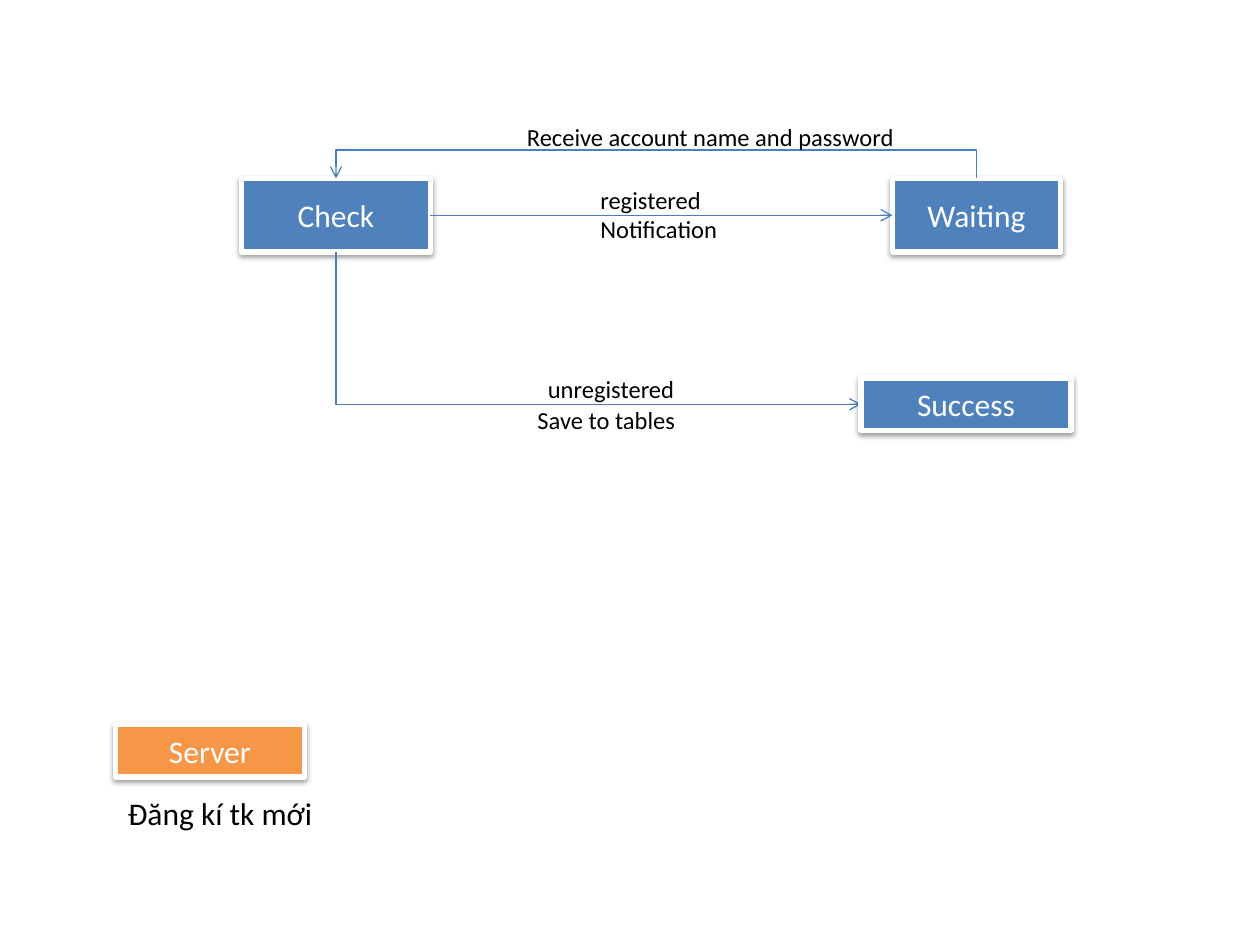
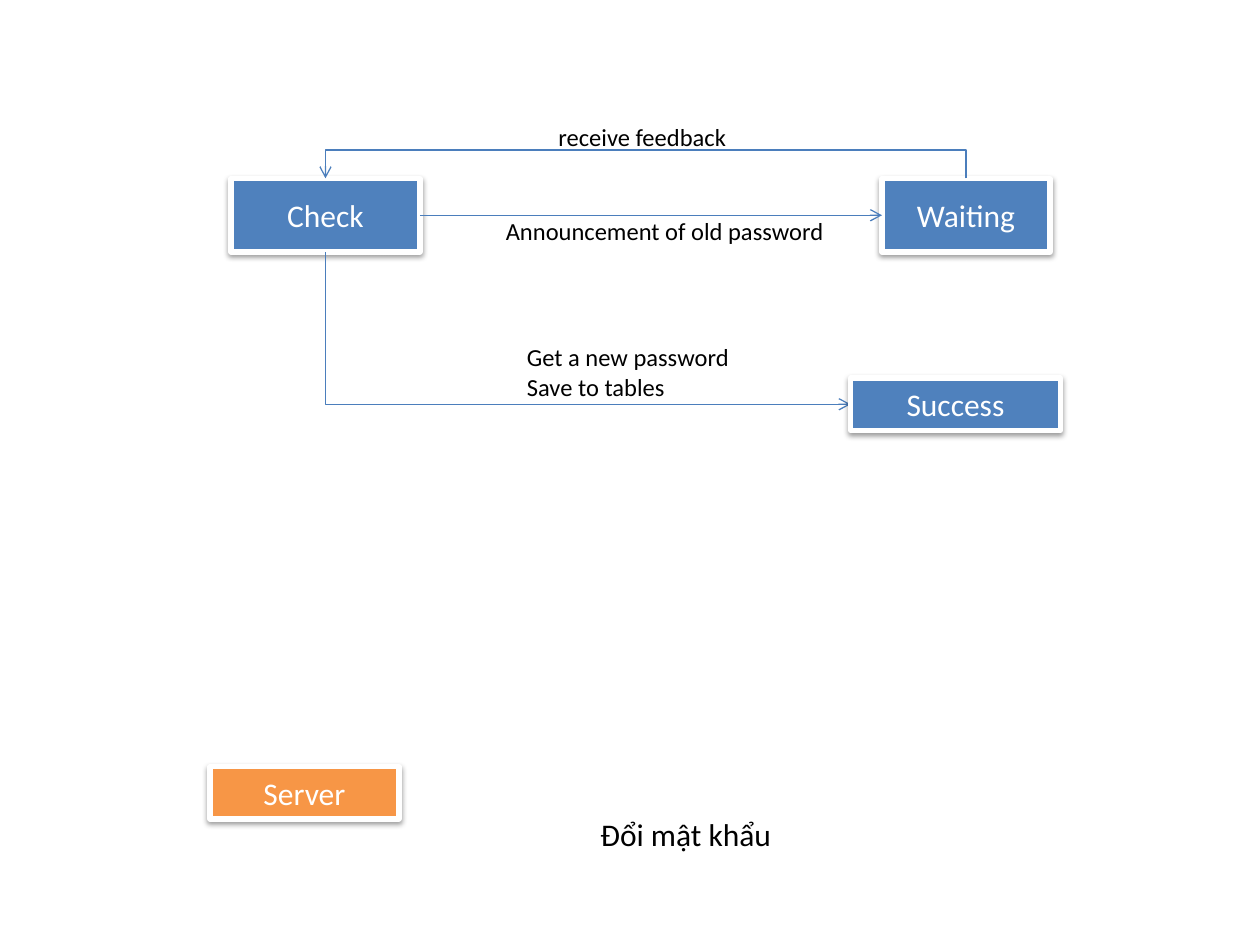
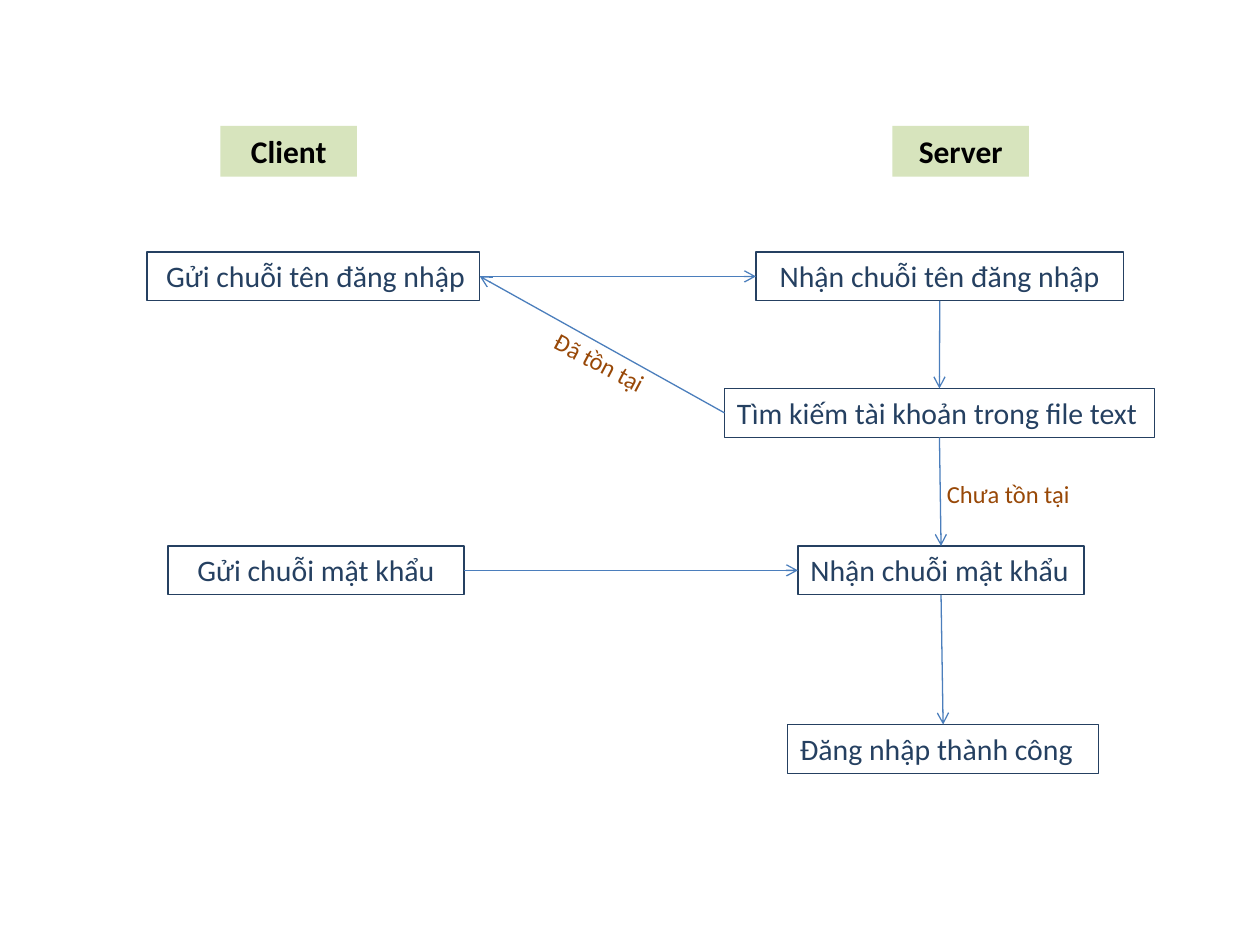
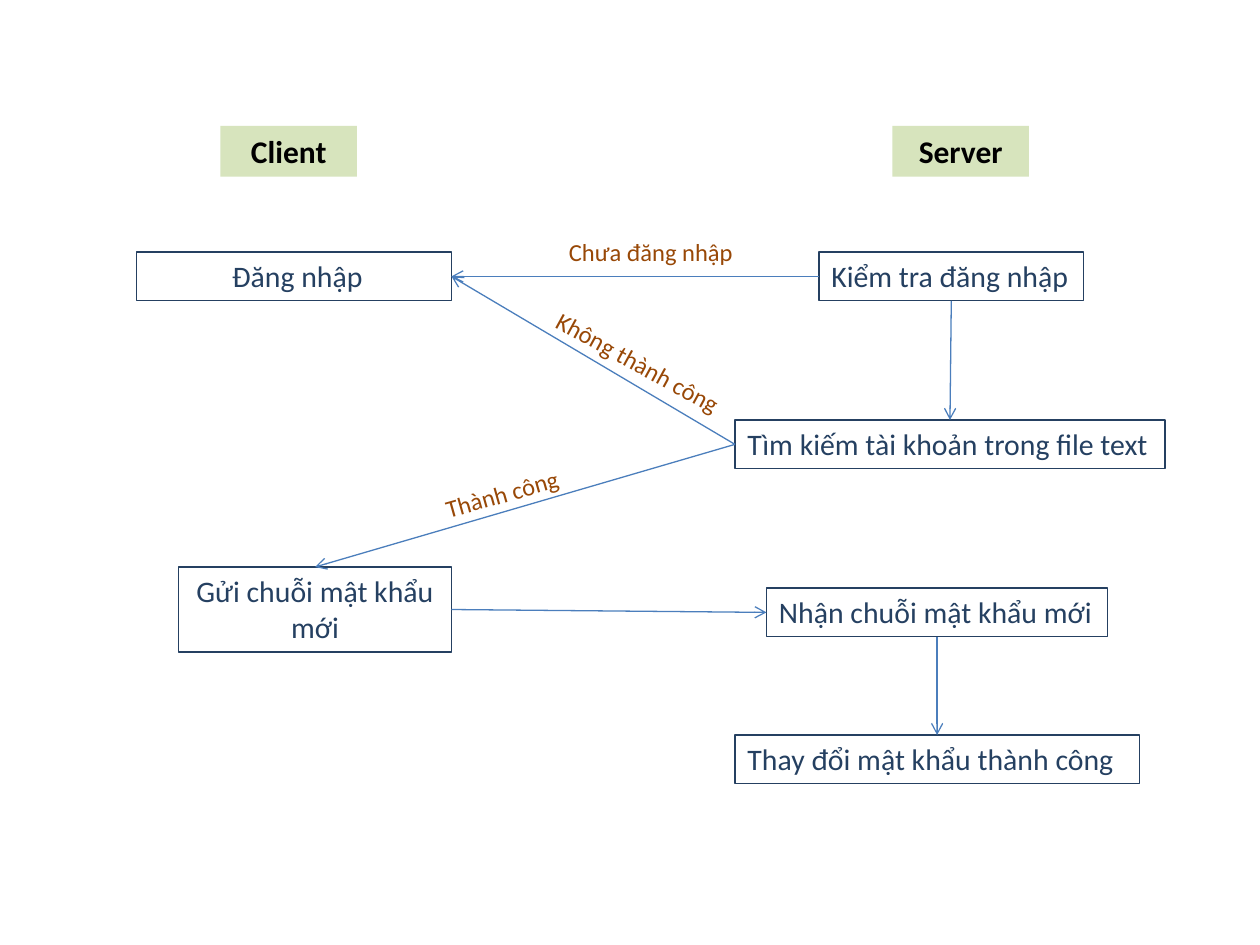
"""Build four flow diagrams of account registration, password change and login."""
from dataclasses import dataclass
from typing import Optional

from lxml.etree import SubElement
from pptx import Presentation
from pptx.dml.color import RGBColor
from pptx.enum.shapes import MSO_CONNECTOR, MSO_SHAPE
from pptx.enum.text import MSO_ANCHOR, MSO_AUTO_SIZE, PP_ALIGN
from pptx.oxml.ns import qn
from pptx.shapes.autoshape import Shape
from pptx.shapes.connector import Connector
from pptx.slide import Slide
from pptx.util import Emu, Inches, Pt

WHITE = RGBColor(0xFF, 0xFF, 0xFF)
BLACK = RGBColor(0x00, 0x00, 0x00)
BLUE = RGBColor(0x4F, 0x81, 0xBD)
ORANGE = RGBColor(0xF7, 0x96, 0x46)
ARROW_BLUE = RGBColor(0x4B, 0x7E, 0xBC)
NAVY = RGBColor(0x25, 0x40, 0x61)
BROWN = RGBColor(0x98, 0x48, 0x07)
PALE_GREEN = RGBColor(0xD7, 0xE4, 0xBD)

FONT = "Calibri"
SLIDE_WIDTH, SLIDE_HEIGHT = Inches(10), Inches(7.5)
COLUMNS = 120
CELL = SLIDE_WIDTH // COLUMNS
TOP, LEFT, BOTTOM, RIGHT = range(4)
LOOP_RISE = 3 * CELL
THINNEST = Emu(1588)


@dataclass(frozen=True)
class Style:
    """Look of a text box."""

    size: float
    color: RGBColor
    height: float
    bold: bool = False
    fill: Optional[RGBColor] = None
    outline: Optional[RGBColor] = None


@dataclass(frozen=True)
class Label:
    """Text box placed in grid columns and rows."""

    text: str
    column: float
    row: float
    columns: float
    centered: bool = False
    wrap: bool = False
    rotation: float = 0
    rows: Optional[float] = None


@dataclass(frozen=True)
class Link:
    """Arrow between connection sites of two named steps."""

    start: str
    start_site: int
    end: str
    end_site: int


CAPTION = Style(18, BLACK, 4.84)
NOTE = Style(14, BLACK, 4.04)
BRANCH = Style(14, BROWN, 4.04)
STEP = Style(17, NAVY, 4.65, outline=NAVY)
ROLE = Style(18, BLACK, 4.84, bold=True, fill=PALE_GREEN)


def cells(count: float) -> Emu:
    """Convert grid cells to a length."""
    return Emu(round(count * CELL))


def write(shape: Shape, text: str, size: float, color: RGBColor, centered: bool, bold: bool = False) -> None:
    """Write each line of text as a paragraph with one run."""
    frame = shape.text_frame
    for index, line in enumerate(text.split("\n")):
        paragraph = frame.add_paragraph() if index else frame.paragraphs[0]
        paragraph.alignment = PP_ALIGN.CENTER if centered else PP_ALIGN.LEFT
        run = paragraph.add_run()
        run.text = line
        run.font.name = FONT
        run.font.size = Pt(size)
        run.font.bold = bold
        run.font.color.rgb = color


def add_label(slide: Slide, label: Label, style: Style) -> Shape:
    """Add a text box in the given style."""
    box = slide.shapes.add_textbox(
        cells(label.column), cells(label.row), cells(label.columns), cells(label.rows or style.height)
    )
    box.rotation = label.rotation
    box.text_frame.word_wrap = label.wrap
    box.text_frame.auto_size = MSO_AUTO_SIZE.SHAPE_TO_FIT_TEXT
    if style.fill is not None:
        box.fill.solid()
        box.fill.fore_color.rgb = style.fill
    if style.outline is not None:
        box.line.color.rgb = style.outline
        box.line.width = Pt(0.75)
    write(box, label.text, style.size, style.color, label.centered, style.bold)
    return box


def add_state(slide: Slide, text: str, column: float, row: float, columns: float, rows: float, fill: RGBColor = BLUE) -> Shape:
    """Add a filled state box with a white frame and a soft shadow."""
    state = slide.shapes.add_shape(
        MSO_SHAPE.RECTANGLE, cells(column), cells(row), cells(columns), cells(rows)
    )
    state.fill.solid()
    state.fill.fore_color.rgb = fill
    state.line.color.rgb = WHITE
    state.line.width = Pt(3)
    state.shadow.inherit = False
    effects = state._element.spPr.find(qn("a:effectLst"))
    shadow = SubElement(
        effects, qn("a:outerShdw"), blurRad="40000", dist="20000", dir="5400000", rotWithShape="0"
    )
    shadow_color = SubElement(shadow, qn("a:srgbClr"), val=str(BLACK))
    SubElement(shadow_color, qn("a:alpha"), val="38000")
    state.text_frame.vertical_anchor = MSO_ANCHOR.MIDDLE
    write(state, text, 18, WHITE, centered=True)
    return state


def format_arrow(connector: Connector) -> None:
    """Give a connector its line, arrowhead and no shadow."""
    connector.line.color.rgb = ARROW_BLUE
    connector.line.width = Pt(0.75)
    properties = connector._element.spPr
    SubElement(properties.find(qn("a:ln")), qn("a:tailEnd"), type="arrow")
    SubElement(properties, qn("a:effectLst"))


def add_arrow(slide: Slide, start: Shape, start_site: int, end: Shape, end_site: int) -> None:
    """Add a straight arrow glued to two shapes."""
    connector = slide.shapes.add_connector(MSO_CONNECTOR.STRAIGHT, 0, 0, 0, 0)
    connector.begin_connect(start, start_site)
    connector.end_connect(end, end_site)
    format_arrow(connector)


def add_elbow(slide: Slide, start: tuple[int, int], end: tuple[int, int], preset: str, flip: str, rise: int = 0) -> None:
    """Add a bent arrow that leaves its start vertically."""
    span = abs(end[0] - start[0])
    depth = max(abs(end[1] - start[1]), THINNEST)
    connector = slide.shapes.add_connector(MSO_CONNECTOR.ELBOW, 0, 0, 0, 0)
    connector.left = Emu((start[0] + end[0] - depth) // 2)
    connector.top = Emu((start[1] + end[1] - span) // 2)
    connector.width, connector.height = Emu(depth), Emu(span)
    properties = connector._element.spPr
    frame = properties.find(qn("a:xfrm"))
    frame.set("rot", str(270 * 60000))
    frame.set(flip, "1")
    geometry = properties.find(qn("a:prstGeom"))
    geometry.set("prst", preset)
    if rise:
        adjustment = SubElement(geometry.find(qn("a:avLst")), qn("a:gd"), name="adj1")
        adjustment.set("fmla", f"val {round(rise / depth * 100000)}")
    format_arrow(connector)


def add_state_slide(presentation: Presentation, column: float, server: tuple[float, float], caption: Label, notes: list[Label]) -> None:
    """Add a server state diagram whose first state starts at a column."""
    slide = presentation.slides.add_slide(presentation.slide_layouts[6])
    add_state(slide, "Server", *server, 18, 5, ORANGE)
    add_label(slide, caption, CAPTION)
    check = add_state(slide, "Check", column, 17, 18, 7)
    waiting = add_state(slide, "Waiting", column + 62, 17, 16, 7)
    check_middle = check.left + check.width // 2
    waiting_middle = waiting.left + waiting.width // 2
    add_elbow(
        slide, (waiting_middle, waiting.top), (check_middle, check.top),
        "bentConnector3", "flipV", LOOP_RISE,
    )
    add_elbow(
        slide, (check_middle, check.top + check.height), (cells(column + 59), cells(38.5)),
        "bentConnector2", "flipH",
    )
    add_state(slide, "Success", column + 59, 36, 20, 5)
    add_arrow(slide, check, RIGHT, waiting, LEFT)
    for note in notes:
        add_label(slide, note, NOTE)


def add_exchange_slide(presentation: Presentation, steps: dict[str, Label], links: list[Link], branches: list[Label]) -> None:
    """Add a client and server exchange with its steps and arrows."""
    slide = presentation.slides.add_slide(presentation.slide_layouts[6])
    for role, column in (("Client", 21), ("Server", 85)):
        add_label(slide, Label(role, column, 12, 13, centered=True, wrap=True), ROLE)
    boxes = {name: add_label(slide, step, STEP) for name, step in steps.items()}
    for branch in branches:
        add_label(slide, branch, BRANCH)
    for link in links:
        add_arrow(slide, boxes[link.start], link.start_site, boxes[link.end], link.end_site)


def main() -> None:
    """Build and save the presentation."""
    presentation = Presentation()
    presentation.slide_width, presentation.slide_height = SLIDE_WIDTH, SLIDE_HEIGHT

    add_state_slide(
        presentation, 23, (11, 69), Label("Đăng kí tk mới", 11, 75, 20.2),
        [
            Label("Save to tables", 50, 38, 16.7, wrap=True),
            Label("registered\nNotification", 56, 17, 13.7, rows=6.87),
            Label("unregistered", 51, 35, 14.6),
            Label("Receive account name and password", 49, 11, 37.7),
        ],
    )
    add_state_slide(
        presentation, 22, (20, 73), Label("Đổi mật khẩu", 56, 77, 18.8),
        [
            Label("Get a new password\nSave to tables", 49, 32, 21.8, rows=6.87),
            Label("Announcement of old password", 47, 20, 33.8),
            Label("receive feedback", 52, 11, 18.6),
        ],
    )
    add_exchange_slide(
        presentation,
        {
            "send name": Label(" Gửi chuỗi tên đăng nhập", 14, 24, 31.7),
            "send password": Label("Gửi chuỗi mật khẩu", 16, 52, 28.2, centered=True, wrap=True),
            "get password": Label("Nhận chuỗi mật khẩu", 76, 52, 27.25),
            "search": Label("Tìm kiếm tài khoản trong file text", 69, 37, 40.95),
            "get name": Label("Nhận chuỗi tên đăng nhập", 72, 24, 35, centered=True, wrap=True),
            "success": Label("Đăng nhập thành công", 75, 69, 29.65, wrap=True),
        },
        [
            Link("search", LEFT, "send name", RIGHT),
            Link("get name", BOTTOM, "search", TOP),
            Link("search", BOTTOM, "get password", TOP),
            Link("get password", BOTTOM, "success", TOP),
            Link("send name", RIGHT, "get name", LEFT),
            Link("send password", RIGHT, "get password", LEFT),
        ],
        [
            Label("Đã tồn tại", 51.25, 32.5, 11.75, rotation=27.8),
            Label("Chưa tồn tại", 89, 45, 15, wrap=True),
        ],
    )
    add_exchange_slide(
        presentation,
        {
            "login": Label(" Đăng nhập", 13, 24, 30, centered=True, wrap=True),
            "send password": Label("Gửi chuỗi mật khẩu mới", 17, 54, 26, centered=True, wrap=True, rows=8.1),
            "get password": Label("Nhận chuỗi mật khẩu mới", 73, 56, 32.5),
            "search": Label("Tìm kiếm tài khoản trong file text", 70, 40, 40.95),
            "check login": Label("Kiểm tra đăng nhập", 78, 24, 25.2),
            "success": Label("Thay đổi mật khẩu thành công", 70, 70, 38.5, wrap=True),
        },
        [
            Link("check login", LEFT, "login", RIGHT),
            Link("check login", BOTTOM, "search", TOP),
            Link("send password", RIGHT, "get password", LEFT),
            Link("get password", BOTTOM, "success", TOP),
            Link("search", LEFT, "send password", TOP),
            Link("search", LEFT, "login", RIGHT),
        ],
        [
            Label("Chưa đăng nhập", 53, 22, 18.1),
            Label("Thành công", 40.3, 45, 15, centered=True, wrap=True, rotation=344.2),
            Label("Không thành công", 50.75, 32.5, 20, centered=True, wrap=True, rotation=28.7),
        ],
    )
    presentation.save("out.pptx")


main()
